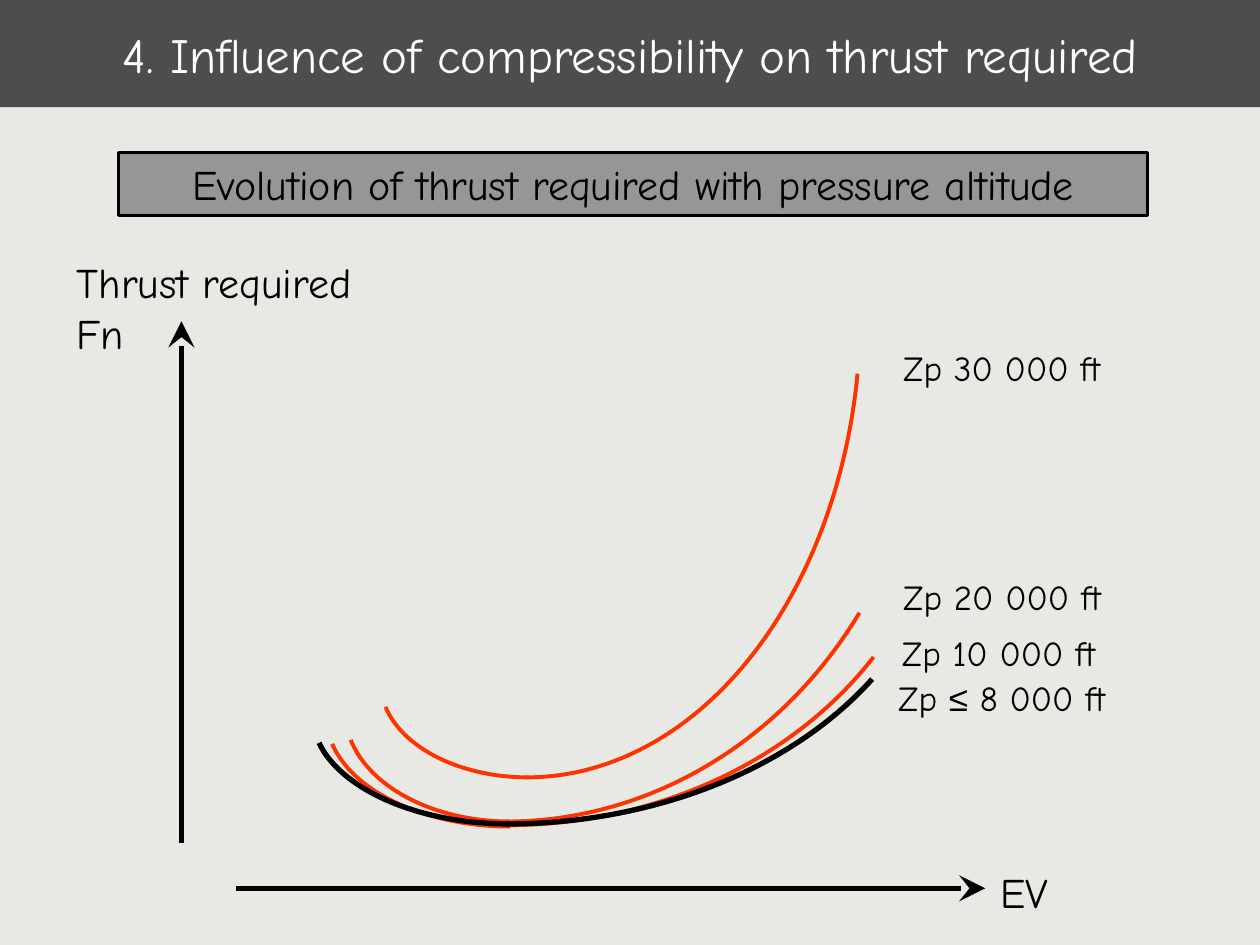
"""Build a slide on how thrust required changes with pressure altitude."""
import pptx
import pptx.util
import pptx.dml.color
import pptx.enum.shapes
import pptx.enum.text
import pptx.oxml.ns
import lxml.etree

THEME = {
    "ink": "000000", "paper": "E8E8E4", "band": "4D4D4D", "white": "FFFFFF",
    "grey": "969696", "red": "FF3300",
    "font": "Comic Neue", "sign": "Arial",
    "head": 28, "text": 24, "label": 20,
    "thin": 1.5, "curve": 2.25, "thick": 3,
}
TITLE = "4. Influence of compressibility on thrust required"
NOTE = ("Evolution of thrust required with pressure altitude", (0.94, 1.21, 8.17, 0.5))
CURVES = [
    {"label": ["Zp 30 000 ft"], "at": (7.07, 2.7, 1.79, 0.43), "look": ("red", "curve"),
     "left": ((3.02, 4.66, 2.34, 1.51), 170.2), "right": ((1.53, -1.22, 5.3, 7.39), 10.6)},
    {"label": ["Zp 20 000 ft"], "at": (7.07, 4.52, 1.79, 0.43), "look": ("red", "curve"),
     "left": ((2.74, 4.78, 2.61, 1.74), 170), "right": ((0.65, -0.87, 6.73, 7.39), 36)},
    {"label": ["Zp 10 000 ft"], "at": (7.06, 4.96, 1.76, 0.43), "look": ("red", "curve"),
     "left": ((2.59, 4.81, 2.92, 1.75), 171.2), "right": ((0.53, 0.61, 6.98, 5.94), 29.3)},
    {"label": ["Zp ", "≤", " 8 000 ft"], "at": (7.03, 5.32, 1.93, 0.43), "look": ("ink", "thick"),
     "left": ((2.48, 4.81, 3.13, 1.73), 171.7), "right": ((0.54, 1.41, 6.96, 5.13), 26)},
]
NAMES = [
    ([["EV"]], (7.84, 6.83, 0.6, 0.5)),
    ([["Thrust required"], ["Fn"]], (0.51, 1.99, 2.41, 0.9)),
]
AXES = [(1.44, 6.69, 1.44, 2.55), (1.87, 7.05, 7.82, 7.05)]
HEAD = {"type": "stealth", "w": "lg", "len": "lg"}
BOTTOM = 90

SHAPES = pptx.enum.shapes.MSO_SHAPE
ALIGN = pptx.enum.text.PP_ALIGN
ANCHOR = pptx.enum.text.MSO_ANCHOR
GROW = pptx.enum.text.MSO_AUTO_SIZE.SHAPE_TO_FIT_TEXT


def color(name):
    return pptx.dml.color.RGBColor.from_string(THEME[name])


def inches(nums):
    return [pptx.util.Inches(num) for num in nums]


def apply(thing, values):
    for name, value in values.items():
        setattr(thing, name, value)


def paint(shape, name):
    shape.fill.solid()
    shape.fill.fore_color.rgb = color(name)


def stroke(shape, name, width):
    shape.line.color.rgb = color(name)
    shape.line.width = pptx.util.Pt(THEME[width])


def write(shape, rows, size, ink="ink", align=ALIGN.LEFT, **frame):
    apply(shape.text_frame, frame)
    for i, row in enumerate(rows):
        para = shape.text_frame.add_paragraph() if i else shape.text_frame.paragraphs[0]
        para.alignment = align
        for text in row:
            run = para.add_run()
            run.text = text
            face = THEME["sign" if text == "≤" else "font"]
            apply(run.font, {"name": face, "size": pptx.util.Pt(THEME[size])})
            run.font.color.rgb = color(ink)


def add_text(slide, rows, at, size):
    box = slide.shapes.add_textbox(*inches(at))
    write(box, rows, size, word_wrap=False, auto_size=GROW)


def add_arc(slide, at, start, end, look):
    arc = slide.shapes.add_shape(SHAPES.ARC, *inches(at))
    arc.shadow.inherit = False
    arc.fill.background()
    for i, angle in enumerate((start, end)):
        arc.adjustments[i] = angle * 0.6
    stroke(arc, *look)


def add_axis(slide, ends):
    kind = pptx.enum.shapes.MSO_CONNECTOR.STRAIGHT
    axis = slide.shapes.add_connector(kind, *inches(ends))
    stroke(axis, "ink", "thick")
    tag = pptx.oxml.ns.qn
    line = axis._element.spPr.find(tag("a:ln"))
    lxml.etree.SubElement(line, tag("a:tailEnd"), HEAD)
    lxml.etree.SubElement(axis._element.spPr, tag("a:effectLst"))


def main():
    deck = pptx.Presentation()
    deck.slide_width, deck.slide_height = inches((10, 7.5))
    slide = deck.slides.add_slide(deck.slide_layouts[5])
    paint(slide.background, "paper")

    title = slide.shapes.title
    apply(title, dict(zip(("left", "top", "width", "height"), inches((0, 0, 10, 0.85)))))
    paint(title, "band")
    write(title, [[TITLE]], "head", "white", ALIGN.CENTER, vertical_anchor=ANCHOR.MIDDLE)

    for curve in CURVES:
        at, angle = curve["left"]
        add_arc(slide, at, BOTTOM, angle, curve["look"])
        at, angle = curve["right"]
        add_arc(slide, at, angle, BOTTOM, curve["look"])
        add_text(slide, [curve["label"]], curve["at"], "label")
    for rows, at in NAMES:
        add_text(slide, rows, at, "text")
    for ends in AXES:
        add_axis(slide, ends)

    text, at = NOTE
    note = slide.shapes.add_shape(SHAPES.RECTANGLE, *inches(at))
    note.shadow.inherit = False
    paint(note, "grey")
    stroke(note, "ink", "thin")
    write(note, [[text]], "text", align=ALIGN.CENTER, word_wrap=True, vertical_anchor=ANCHOR.TOP)

    deck.save("out.pptx")


if __name__ == "__main__":
    main()
